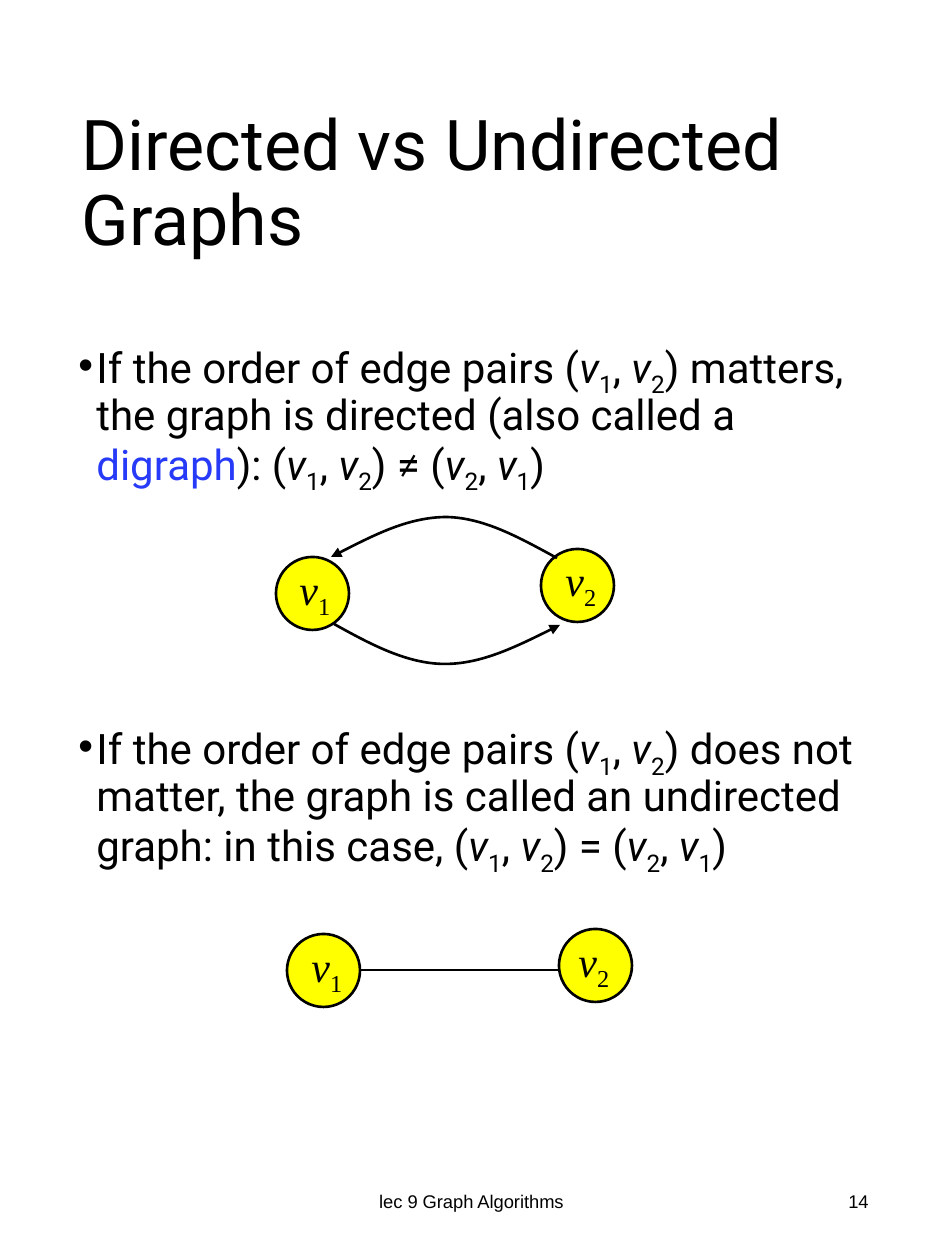
"""Build the slide that compares directed and undirected graphs."""
from typing import NamedTuple, Optional

from lxml.etree import SubElement
from pptx import Presentation
from pptx.dml.color import RGBColor
from pptx.enum.shapes import MSO_CONNECTOR, MSO_SHAPE
from pptx.enum.text import MSO_ANCHOR, MSO_AUTO_SIZE, PP_ALIGN
from pptx.oxml.ns import qn
from pptx.util import Emu, Pt

SCALE = 914400 / 126
COLORS = {"ink": "000000", "node": "FFFF00", "term": "263AF8"}
NODE_SIZE = 73
INDENT = 18


class Piece(NamedTuple):
    text: str
    italic: bool = False
    sub: bool = False
    color: Optional[str] = None


class Node(NamedTuple):
    index: int
    x: int
    y: int
    label_x: int
    label_y: int


class Bullet(NamedTuple):
    pieces: list[Piece]
    space_before: int


class Footer(NamedTuple):
    text: str
    x: int
    width: int
    align: PP_ALIGN


def px(n: int) -> Emu:
    return Emu(round(n * SCALE))


def rgb(name: str) -> RGBColor:
    return RGBColor.from_string(COLORS[name])


def vertex(index: int) -> list[Piece]:
    return [Piece("v", italic=True), Piece(str(index), sub=True)]


def pair(a: int, b: int) -> list[Piece]:
    return [Piece("("), *vertex(a), Piece(", "), *vertex(b), Piece(")")]


def set_font(p, name: str, size: float) -> None:
    p.font.name, p.font.size = name, Pt(size)
    p.font.color.rgb = rgb("ink")


def add_pieces(p, pieces: list[Piece]) -> None:
    for piece in pieces:
        r = p.add_run()
        r.text = piece.text
        if piece.italic:
            r.font.italic = True
        if piece.sub:
            r.font._element.set("baseline", "-25000")
        if piece.color:
            r.font.color.rgb = rgb(piece.color)


def add_box(slide, x: int, y: int, width: int, height: int):
    tf = slide.shapes.add_textbox(px(x), px(y), px(width), px(height)).text_frame
    tf.word_wrap = True
    return tf


def add_title(slide, text: str) -> None:
    sp = slide.shapes.title
    sp.left, sp.top, sp.width, sp.height = px(69), px(64), px(815), px(243)
    tf = sp.text_frame
    tf.text = text
    tf.auto_size = MSO_AUTO_SIZE.NONE
    tf.vertical_anchor = MSO_ANCHOR.MIDDLE
    p = tf.paragraphs[0]
    p.alignment, p.line_spacing = PP_ALIGN.LEFT, 0.9
    set_font(p, "Roboto", 40)


def add_bullets(slide, bullets: list[Bullet]) -> None:
    tf = add_box(slide, 66, 336, 815, 799)
    for i, bullet in enumerate(bullets):
        p = tf.add_paragraph() if i else tf.paragraphs[0]
        props = p._p.get_or_add_pPr()
        props.set("marL", str(px(INDENT)))
        props.set("indent", str(px(-INDENT)))
        SubElement(props, qn("a:buFont"), typeface="Arial")
        SubElement(props, qn("a:buChar"), char="•")
        p.line_spacing, p.space_before = 0.9, Pt(bullet.space_before)
        set_font(p, "Roboto", 24)
        add_pieces(p, bullet.pieces)


def set_line(sp) -> None:
    sp.line.color.rgb, sp.line.width = rgb("ink"), Pt(1.5)


def add_node(slide, node: Node) -> None:
    sp = slide.shapes.add_shape(
        MSO_SHAPE.OVAL, px(node.x), px(node.y), px(NODE_SIZE), px(NODE_SIZE))
    sp.shadow.inherit = False
    sp.fill.solid()
    sp.fill.fore_color.rgb = rgb("node")
    set_line(sp)
    p = add_box(slide, node.label_x, node.label_y, 67, 63).paragraphs[0]
    set_font(p, "Times New Roman", 24)
    add_pieces(p, vertex(node.index))


def add_arc(slide, points: list[tuple[int, int]]) -> None:
    builder = slide.shapes.build_freeform(*points[0], scale=SCALE)
    builder.add_line_segments(points[1:], close=False)
    sp = builder.convert_to_shape()
    sp.shadow.inherit = False
    sp.fill.background()
    set_line(sp)
    SubElement(sp.line._get_or_add_ln(), qn("a:tailEnd"), type="triangle")
    outline = sp._element.find(".//" + qn("a:path"))
    segments = outline.findall(qn("a:lnTo"))
    for i in range(0, len(segments), 3):
        curve = SubElement(outline, qn("a:cubicBezTo"))
        for segment in segments[i:i + 3]:
            curve.append(segment[0])
            outline.remove(segment)


def add_edge(slide, x1: int, x2: int, y: int) -> None:
    line = slide.shapes.add_connector(
        MSO_CONNECTOR.STRAIGHT, px(x1), px(y), px(x2), px(y))
    set_line(line)
    SubElement(line._element.spPr, qn("a:effectLst"))


def add_footer(slide, footer: Footer) -> None:
    tf = add_box(slide, footer.x, 1168, footer.width, 67)
    tf.vertical_anchor = MSO_ANCHOR.MIDDLE
    p = tf.paragraphs[0]
    p.text, p.alignment = footer.text, footer.align
    set_font(p, "Arial", 10.5)


BULLETS = [
    Bullet([Piece("If the order of edge pairs "), *pair(1, 2),
            Piece(" matters, the graph is directed (also called a "),
            Piece("digraph", color="term"), Piece("): "),
            *pair(1, 2), Piece(" ≠ "), *pair(2, 1)], 0),
    Bullet([Piece("If the order of edge pairs "), *pair(1, 2),
            Piece(" does not matter, the graph is called an undirected graph: in this case, "),
            *pair(1, 2), Piece(" = "), *pair(2, 1)], 133),
]
NODES = [
    Node(1, 276, 557, 287, 557),
    Node(2, 541, 549, 553, 548),
    Node(1, 287, 934, 299, 934),
    Node(2, 559, 929, 566, 929),
]
ARCS = [
    [(557, 558), (520, 538), (485, 518), (447, 517), (409, 517), (370, 537), (331, 557)],
    [(334, 624), (370, 644), (407, 664), (445, 664), (481, 664), (520, 645), (560, 625)],
]
FOOTERS = [
    Footer("lec 9 Graph Algorithms", 312, 319, PP_ALIGN.CENTER),
    Footer("14", 668, 213, PP_ALIGN.RIGHT),
]


def main() -> None:
    prs = Presentation()
    prs.slide_width, prs.slide_height = px(945), px(1260)
    slide = prs.slides.add_slide(prs.slide_layouts[5])
    add_title(slide, "Directed vs Undirected Graphs")
    add_bullets(slide, BULLETS)
    for node in NODES:
        add_node(slide, node)
    for points in ARCS:
        add_arc(slide, points)
    add_edge(slide, 361, 560, 970)
    for footer in FOOTERS:
        add_footer(slide, footer)
    prs.save("out.pptx")


if __name__ == "__main__":
    main()
